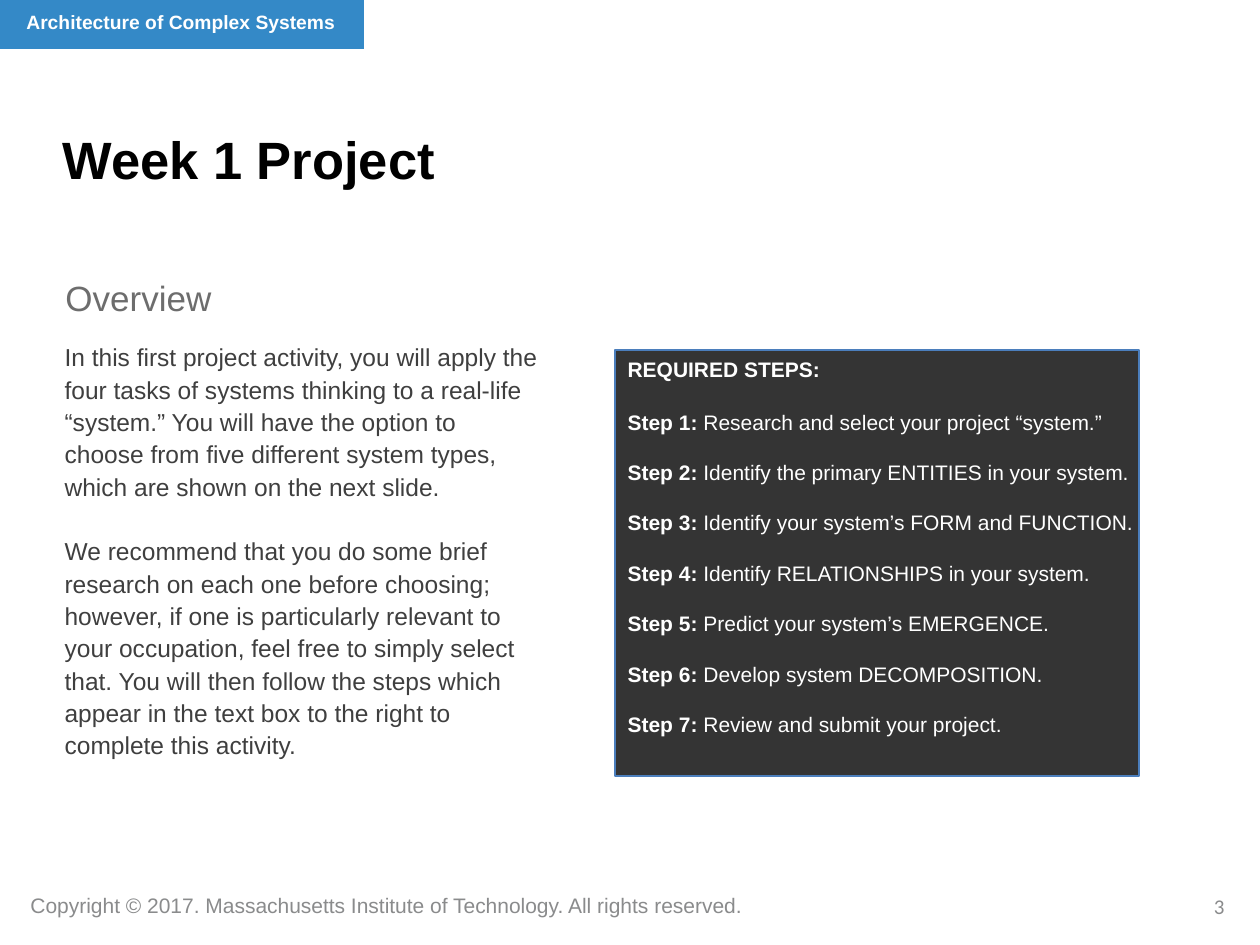
"""Builds the Week 1 Project overview slide."""
from lxml.etree import SubElement
from pptx import Presentation
from pptx.dml.color import RGBColor
from pptx.enum.shapes import MSO_SHAPE
from pptx.enum.text import MSO_ANCHOR, MSO_AUTO_SIZE, PP_ALIGN
from pptx.oxml.ns import qn
from pptx.util import Emu, Pt

PX = 914400 / 126
COLORS = {
    "banner": "3489C7", "panel": "343434", "outline": "4B7EBC", "white": "FFFFFF",
    "title": "000000", "heading": "6D6D6D", "body": "3F3F3F", "footer": "8A8B8C",
}


def place(shape, *bounds):
    for name, value in zip(("left", "top", "width", "height"), bounds):
        setattr(shape, name, Emu(round(value * PX)))


def write(box, paragraphs, size, color, font="Arial", wrap=True):
    """Fill a box with (spans, paragraph format) pairs; a span is (text, bold)."""
    frame = box.text_frame
    frame.word_wrap = wrap
    frame.auto_size = MSO_AUTO_SIZE.NONE
    frame.vertical_anchor = MSO_ANCHOR.TOP
    for index, (spans, layout) in enumerate(paragraphs):
        para = frame.add_paragraph() if index else frame.paragraphs[0]
        properties = para._p.get_or_add_pPr()
        properties.set("marL", "0")
        properties.set("indent", "0")
        SubElement(properties, qn("a:buNone"))
        values = {"alignment": PP_ALIGN.LEFT, "space_before": Pt(0), "line_spacing": 1.0}
        for name, value in (values | layout).items():
            setattr(para, name, value)
        for text, bold in spans:
            span = para.add_run()
            span.text = text
            for name, value in {"name": font, "size": Pt(size), "bold": bold}.items():
                setattr(span.font, name, value)
            span.font.color.rgb = RGBColor.from_string(COLORS[color])


deck = Presentation()
deck.slide_width, deck.slide_height = Emu(round(1260 * PX)), Emu(round(945 * PX))
page = deck.slides.add_slide(deck.slide_layouts[3])
title, overview, steps = list(page.placeholders)[:3]

for bounds, fill, line in [
    ((-1, 0, 365, 49), "banner", None),
    ((615, 350, 524, 426), "panel", "outline"),
]:
    block = page.shapes.add_shape(MSO_SHAPE.RECTANGLE, 0, 0, 0, 0)
    place(block, *bounds)
    block.shadow.inherit = False
    block.fill.solid()
    block.fill.fore_color.rgb = RGBColor.from_string(COLORS[fill])
    if line:
        block.line.color.rgb = RGBColor.from_string(COLORS[line])
        block.line.width = Pt(0.75)
    else:
        block.line.fill.background()
    title.element.addprevious(block.element)

place(title, 50, 121, 586, 73)
title.fill.solid()
title.fill.fore_color.rgb = RGBColor.from_string(COLORS["white"])
write(title, [([("Week 1 Project", True)], {})], 30, "title")

for text, bounds, size, color, font, bold, wrap, align in [
    ("Architecture of Complex Systems", (14, 4, 352, 73), 11, "white", "Arial", True, True, PP_ALIGN.LEFT),
    ("Copyright © 2017. Massachusetts Institute of Technology. All rights reserved.",
     (18, 886, 751, 38), 12, "footer", "Arial", False, False, PP_ALIGN.LEFT),
    ("Overview", (53, 270, 382, 73), 20, "heading", "Arial", False, True, PP_ALIGN.LEFT),
    ("3", (943, 887, 294, 50), 12, "footer", "Calibri", False, True, PP_ALIGN.RIGHT),
]:
    label = page.shapes.add_textbox(0, 0, 0, 0)
    place(label, *bounds)
    write(label, [([(text, bold)], {"alignment": align})], size, color, font, wrap)

place(overview, 52, 333, 499, 469)
write(overview, [
    ([("In this first project activity, you will apply the four tasks of systems thinking to a "
       "real-life “system.” You will have the option to choose from five different system types, "
       "which are shown on the next slide.", False)], {"line_spacing": 1.1}),
    ([("We recommend that you do some brief research on each one before choosing; however, if one "
       "is particularly relevant to your occupation, feel free to simply select that. You will then "
       "follow the steps which appear in the text box to the right to complete this activity.", False)],
     {"line_spacing": 1.1, "space_before": Pt(18.5)}),
], 14, "body")

tasks = [
    "Research and select your project “system.”",
    "Identify the primary ENTITIES in your system.",
    "Identify your system’s FORM and FUNCTION.",
    "Identify RELATIONSHIPS in your system.",
    "Predict your system’s EMERGENCE.",
    "Develop system DECOMPOSITION.",
    "Review and submit your project.",
]
lines = [([("REQUIRED STEPS:", True)], {})]
for number, task in enumerate(tasks, 1):
    layout = {"line_spacing": 2.0} if number > 1 else {"line_spacing": 1.5, "space_before": Pt(8.6)}
    lines.append(([(f"Step {number}:", True), (f" {task}", False)], layout))
place(steps, 615, 350, 585, 408)
write(steps, lines, 12, "white")

deck.save("out.pptx")
